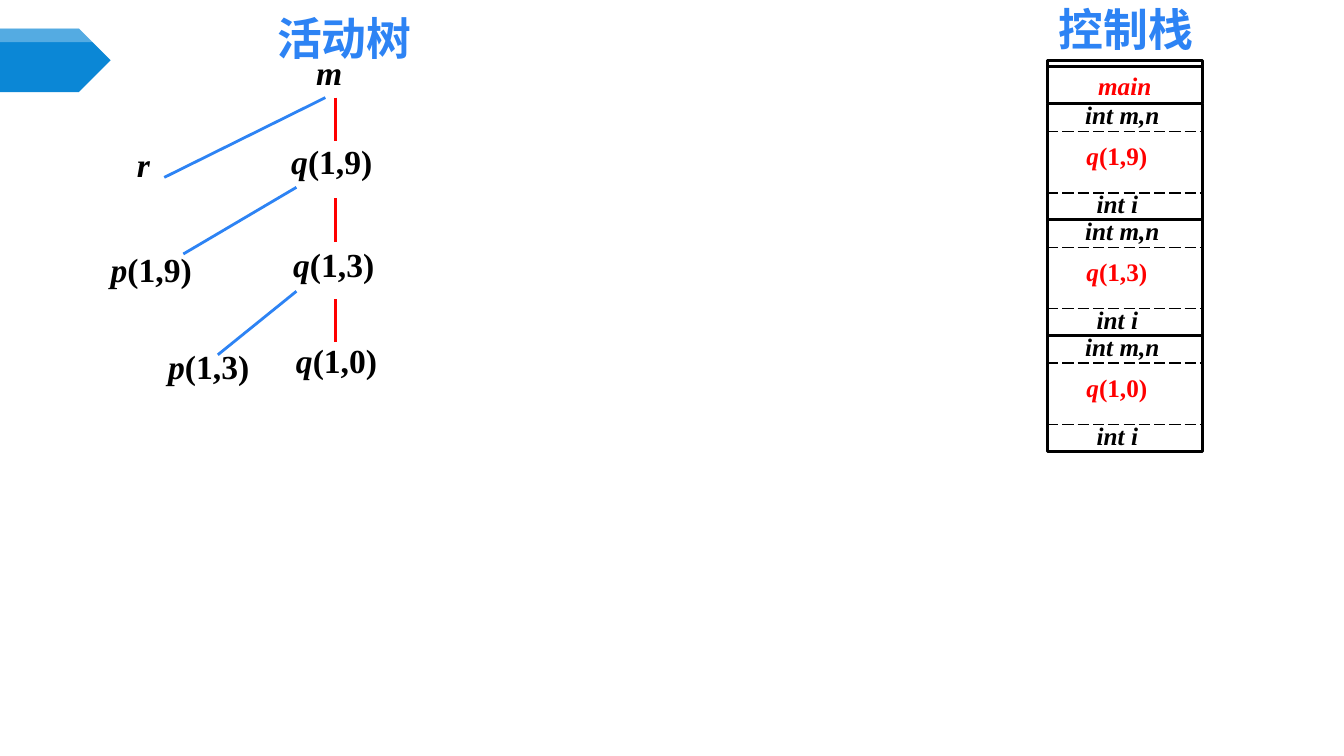
from dataclasses import dataclass

from lxml.etree import SubElement
from pptx import Presentation
from pptx.dml.color import RGBColor
from pptx.enum.dml import MSO_LINE
from pptx.enum.shapes import MSO_CONNECTOR, MSO_SHAPE
from pptx.enum.text import MSO_ANCHOR, PP_ALIGN
from pptx.oxml.ns import qn
from pptx.util import Cm, Pt


@dataclass(frozen=True)
class Theme:
    black: RGBColor = RGBColor(0, 0, 0)
    white: RGBColor = RGBColor(255, 255, 255)
    red: RGBColor = RGBColor(255, 0, 0)
    blue: RGBColor = RGBColor(0x2D, 0x83, 0xF4)
    banner: RGBColor = RGBColor(0x0B, 0x87, 0xD6)
    title_font: str = "Noto Sans CJK SC"
    label_font: str = "Times New Roman"
    title_size: int = 32
    node_size: int = 24
    frame_size: int = 18


T = Theme()
STACK_LEFT, STACK_WIDTH = 26.39, 3.91
FRAME_TOP, FRAME_HEIGHT = 2.62, 2.92
TREE_STEP = 2.54

NODES = [
    ("m", "", 7.72, 1.19),
    ("q", "(1,9)", 7.09, 3.43),
    ("r", "", 3.2, 3.51),
    ("p", "(1,9)", 2.54, 6.15),
    ("q", "(1,3)", 7.14, 6.02),
    ("p", "(1,3)", 3.99, 8.59),
    ("q", "(1,0)", 7.21, 8.43),
]
FINISHED_CALLS = [
    (8.2, 2.46, 4.14, 4.47),
    (7.47, 4.72, 4.62, 6.4),
    (7.47, 7.34, 5.49, 8.94),
]


def write(tf, name, args="", *, size, color=T.black, font=T.label_font,
          italic=True, align=PP_ALIGN.LEFT, wrap=True, anchor=MSO_ANCHOR.TOP):
    tf.word_wrap = wrap
    tf.vertical_anchor = anchor
    p = tf.paragraphs[0]
    p.alignment = align
    for text, slanted in ((name, italic), (args, False)):
        if text:
            r = p.add_run()
            r.text = text
            r.font.size = Pt(size)
            r.font.name = font
            r.font.bold = True
            r.font.italic = slanted
            r.font.color.rgb = color
            SubElement(r.font._element, qn("a:ea")).set("typeface", font)


def add_label(shapes, x, y, w, h, name, args="", **fmt):
    sp = shapes.add_textbox(Cm(x), Cm(y), Cm(w), Cm(h))
    write(sp.text_frame, name, args, **fmt)


def add_line(shapes, x1, y1, x2, y2, color, width=2, dash=None):
    ln = shapes.add_connector(MSO_CONNECTOR.STRAIGHT, Cm(x1), Cm(y1), Cm(x2), Cm(y2))
    ln.line.color.rgb = color
    ln.line.width = Pt(width)
    if dash:
        ln.line.dash_style = dash
    SubElement(ln._element.spPr, qn("a:effectLst"))


def add_cell(shapes, y, h):
    sp = shapes.add_shape(MSO_SHAPE.RECTANGLE, Cm(STACK_LEFT), Cm(y), Cm(STACK_WIDTH), Cm(h))
    sp.shadow.inherit = False
    sp.fill.background()
    sp.line.color.rgb = T.black
    sp.line.width = Pt(2)
    return sp


def add_pentagon(shapes, y, h, color, opacity=100):
    sp = shapes.add_shape(MSO_SHAPE.PENTAGON, 0, Cm(y), Cm(2.79), Cm(h))
    sp.shadow.inherit = False
    sp.fill.solid()
    sp.fill.fore_color.rgb = color
    sp.line.fill.background()
    if opacity < 100:
        clr = sp._element.spPr.find(".//" + qn("a:srgbClr"))
        SubElement(clr, qn("a:alpha")).set("val", str(opacity * 1000))


def add_frame(shapes, y, args):
    add_cell(shapes, y, FRAME_HEIGHT)
    for dy in (0.69, 2.24):
        add_line(shapes, STACK_LEFT, y + dy, STACK_LEFT + STACK_WIDTH, y + dy,
                 T.black, 1, MSO_LINE.LONG_DASH)
    for dx, dy, w, name, tail, color, align in (
        (0.74, 0.8, 2.06, "q", args, T.red, PP_ALIGN.LEFT),
        (0.97, 2.01, 1.6, "int i", "", T.black, PP_ALIGN.CENTER),
        (0.69, -0.23, 2.41, "int m,n", "", T.black, PP_ALIGN.CENTER),
    ):
        add_label(shapes, STACK_LEFT + dx, y + dy, w, 1.02, name, tail,
                  size=T.frame_size, color=color, align=align, wrap=False)


def add_tree(shapes):
    for name, args, x, y in NODES:
        w, h = (3.18, 1.93) if args else (1.63, 1.68)
        add_label(shapes, x, y, w, h, name, args, size=T.node_size, align=PP_ALIGN.JUSTIFY)
    for i in range(3):
        y = 2.46 + i * TREE_STEP
        add_line(shapes, 8.46, y, 8.46, y + 1.09, T.red)
    for ends in FINISHED_CALLS:
        add_line(shapes, *ends, T.blue)


def add_stack(shapes):
    main_cell = add_cell(shapes, 1.68, 0.94)
    write(main_cell.text_frame, "main", size=T.frame_size, color=T.red,
          align=PP_ALIGN.CENTER, anchor=MSO_ANCHOR.MIDDLE)
    for i, args in enumerate(("(1,9)", "(1,3)", "(1,0)")):
        add_frame(shapes.add_group_shape().shapes, FRAME_TOP + i * FRAME_HEIGHT, args)
    add_cell(shapes, 1.52, 0.16)


def main():
    prs = Presentation()
    prs.slide_width, prs.slide_height = Cm(33.87), Cm(19.05)
    s = prs.slides.add_slide(prs.slide_layouts[6])
    banner = s.shapes.add_group_shape().shapes
    add_pentagon(banner, 0.72, 1.6, T.banner)
    add_pentagon(banner, 0.72, 0.34, T.white, opacity=30)
    add_tree(s.shapes)
    for x, y, w, title in ((4.78, 0.15, 7.8, "活动树"), (25.73, -0.08, 5.28, "控制栈")):
        add_label(s.shapes, x, y, w, 1.63, title, size=T.title_size, color=T.blue,
                  font=T.title_font, italic=False, align=PP_ALIGN.CENTER)
    add_stack(s.shapes)
    prs.save("out.pptx")


if __name__ == "__main__":
    main()
